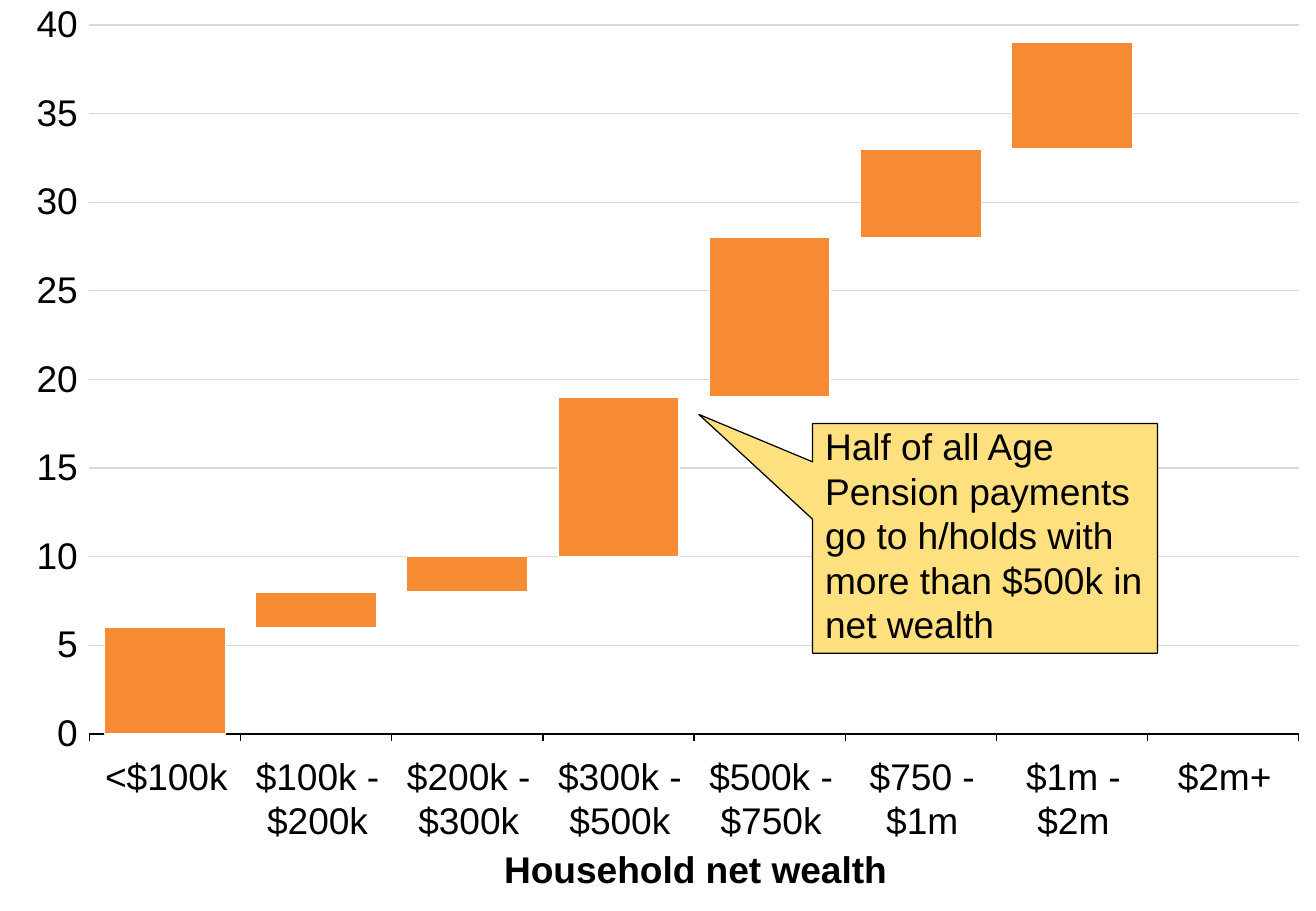
from dataclasses import dataclass
from itertools import accumulate

from pptx import Presentation
from pptx.chart.data import CategoryChartData
from pptx.dml.color import RGBColor
from pptx.enum.chart import XL_CHART_TYPE, XL_TICK_LABEL_POSITION, XL_TICK_MARK
from pptx.enum.shapes import MSO_SHAPE
from pptx.enum.text import MSO_AUTO_SIZE, PP_ALIGN
from pptx.oxml import parse_xml
from pptx.oxml.ns import nsdecls
from pptx.util import Inches, Pt


@dataclass(frozen=True)
class Theme:
    font: str = "Arial"
    size: int = 22
    hair: float = 0.75
    ink: str = "000000"
    paper: str = "FFFFFF"
    bar: str = "F68B33"
    grid: str = "D9D9D9"
    note: str = "FFE07F"


PLOT = {"x": 6.8, "y": 3.3, "w": 91.9, "h": 93.7}
BANDS = {
    "<$100k": 6,
    "$100k -\n$200k": 2,
    "$200k -\n$300k": 2,
    "$300k -\n$500k": 9,
    "$500k -\n$750k": 9,
    "$750 -\n$1m": 5,
    "$1m - $2m": 6,
    "$2m+": 0,
}


def put(target, values):
    for name, value in values.items():
        setattr(target, name, value)


class Deck:
    """Draws themed parts on one slide, placed by percent shares of its size."""

    def __init__(self, theme, width, height):
        self.theme = theme
        self.deck = Presentation()
        put(self.deck, {"slide_width": Inches(width), "slide_height": Inches(height)})
        self.slide = self.deck.slides.add_slide(self.deck.slide_layouts[6])

    def place(self, x, y, w, h):
        wide, high = self.deck.slide_width, self.deck.slide_height
        pairs = (x, wide), (y, high), (w, wide), (h, high)
        return [int(share * full / 100) for share, full in pairs]

    def style(self, font, bold=False):
        put(font, {"name": self.theme.font, "size": Pt(self.theme.size), "bold": bold})
        font.color.rgb = RGBColor.from_string(self.theme.ink)

    def fill(self, fill, color):
        fill.solid()
        fill.fore_color.rgb = RGBColor.from_string(color)

    def line(self, line, color):
        self.fill(line.fill, color)
        line.width = Pt(self.theme.hair)

    def text(self, words, area, align=PP_ALIGN.CENTER, bold=False):
        frame = self.slide.shapes.add_textbox(*self.place(*area)).text_frame
        put(frame, {
            "margin_left": 0, "margin_right": 0, "margin_top": 0, "margin_bottom": 0,
            "word_wrap": True, "auto_size": MSO_AUTO_SIZE.SHAPE_TO_FIT_TEXT, "text": words,
        })
        for part in frame.paragraphs:
            part.alignment = align
            for run in part.runs:
                self.style(run.font, bold)

    def callout(self, area, tip):
        shape = self.slide.shapes.add_shape(MSO_SHAPE.RECTANGULAR_CALLOUT, *self.place(*area))
        shape.shadow.inherit = False
        shape.adjustments[0], shape.adjustments[1] = tip
        self.fill(shape.fill, self.theme.note)
        self.line(shape.line, self.theme.ink)

    def steps(self, gains, area):
        data = CategoryChartData()
        data.categories = [str(i + 1) for i in range(len(gains))]
        data.add_series("Series 1", [None, *accumulate(gains[:-1])])
        data.add_series("Series 2", gains)
        chart = self.slide.shapes.add_chart(
            XL_CHART_TYPE.COLUMN_STACKED, *self.place(*area), data).chart
        put(chart, {"has_legend": False, "has_title": False})
        self.style(chart.font)
        plot = chart.plots[0]
        put(plot, {"gap_width": 25, "overlap": 100, "vary_by_categories": False})
        base, gain = plot.series
        base.format.fill.background()
        base.format.line.fill.background()
        self.fill(gain.format.fill, self.theme.bar)
        self.line(gain.format.line, self.theme.paper)
        self.axes(chart)
        self.layout(chart)

    def axes(self, chart):
        bands, scale = chart.category_axis, chart.value_axis
        put(bands, {
            "tick_label_position": XL_TICK_LABEL_POSITION.NONE,
            "major_tick_mark": XL_TICK_MARK.OUTSIDE, "has_major_gridlines": False,
        })
        self.line(bands.format.line, self.theme.ink)
        put(scale, {
            "minimum_scale": 0, "maximum_scale": 40, "major_unit": 5,
            "major_tick_mark": XL_TICK_MARK.OUTSIDE, "has_major_gridlines": True,
        })
        put(scale.tick_labels, {"number_format": "#,##0", "number_format_is_linked": False})
        self.style(scale.tick_labels.font)
        scale.format.line.fill.background()
        self.line(scale.major_gridlines.format.line, self.theme.grid)

    def layout(self, chart):
        room = chart.element.xpath("//c:plotArea")[0]
        for old in room.xpath("./c:layout"):
            room.remove(old)
        modes = "".join(f'<c:{key}Mode val="edge"/>' for key in "xy")
        sizes = "".join(f'<c:{key} val="{share / 100:.3f}"/>' for key, share in PLOT.items())
        room.insert(0, parse_xml(
            f'<c:layout {nsdecls("c")}><c:manualLayout><c:layoutTarget val="inner"/>'
            f"{modes}{sizes}</c:manualLayout></c:layout>"))

    def save(self):
        self.deck.save("out.pptx")


def main():
    deck = Deck(Theme(), 10.83, 7.5)
    deck.steps(list(BANDS.values()), (0, 0, 100, 83.07))
    deck.text("Household net wealth", (29.82, 92.9, 46.08, 4.9), bold=True)
    step, wide = PLOT["w"] / len(BANDS), 10
    for i, band in enumerate(BANDS):
        mid = PLOT["x"] + step * (i + 0.5) + 0.1
        high = 4.9 if band in ("<$100k", "$2m+") else 9.8
        deck.text(band, (mid - wide / 2, 82.65, wide, high))
    deck.callout((61.75, 46.5, 26.2, 25.2), (-0.83, -0.54))
    deck.text("Half of all Age Pension payments go to h/holds with more than $500k in net wealth",
              (62.7, 46.5, 25.6, 24.7), PP_ALIGN.LEFT)
    deck.save()


if __name__ == "__main__":
    main()
